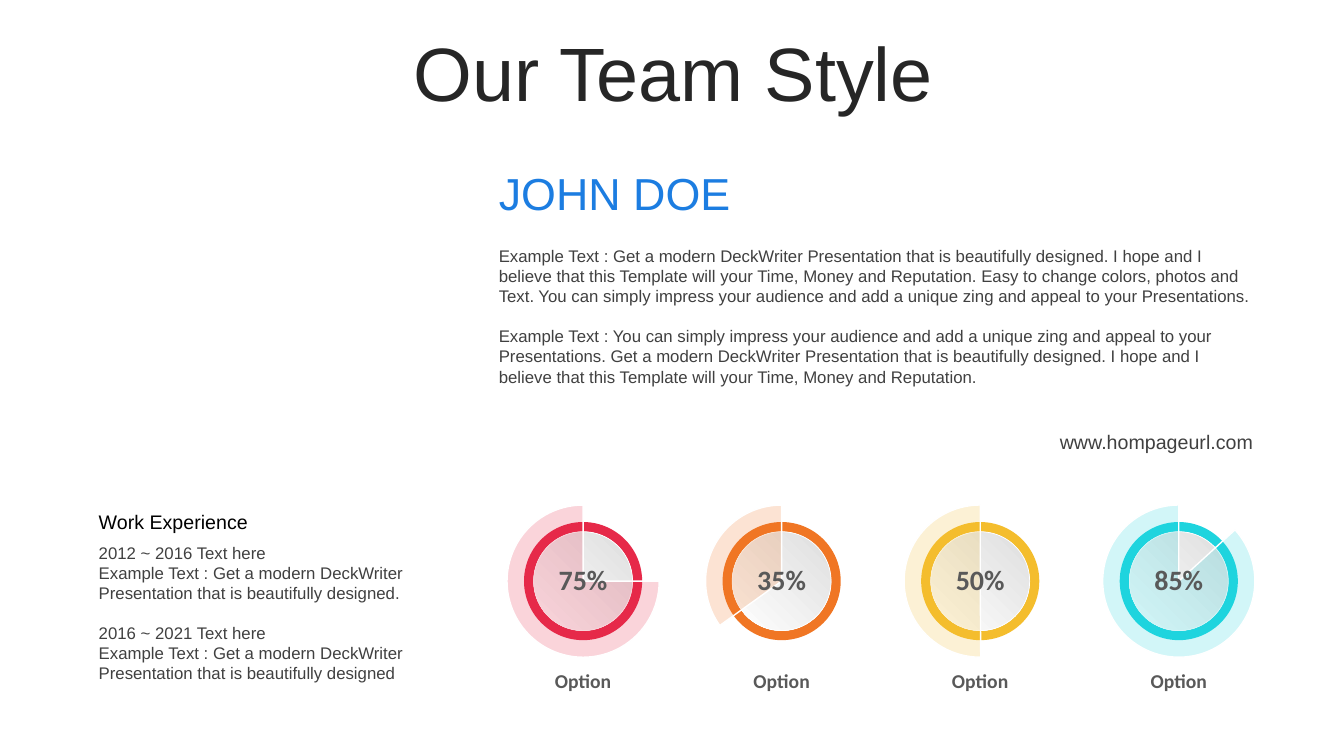
from lxml.etree import SubElement
from pptx import Presentation
from pptx.dml.color import RGBColor
from pptx.enum.shapes import MSO_SHAPE
from pptx.enum.text import MSO_ANCHOR, MSO_AUTO_SIZE, PP_ALIGN
from pptx.oxml.ns import qn
from pptx.util import Pt

TITLE = "Our Team Style"
NAME = "JOHN DOE"
WEBSITE = "www.hompageurl.com"
PROFILE = [
    "Example Text : Get a modern DeckWriter Presentation that is beautifully designed. "
    "I hope and I believe that this Template will your Time, Money and Reputation. "
    "Easy to change colors, photos and Text. You can simply impress your audience "
    "and add a unique zing and appeal to your Presentations.",
    "Example Text : You can simply impress your audience and add a unique zing and "
    "appeal to your Presentations. Get a modern DeckWriter Presentation that is "
    "beautifully designed. I hope and I believe that this Template will your Time, "
    "Money and Reputation.",
]
EXPERIENCE_HEADING = "Work Experience"
EXPERIENCE = [
    "2012 ~ 2016 Text here",
    "Example Text : Get a modern DeckWriter Presentation that is beautifully designed.",
    "2016 ~ 2021 Text here",
    "Example Text : Get a modern DeckWriter Presentation that is beautifully designed",
]
GAUGES = [
    ("75%", "Option", "red", 0),
    ("35%", "Option", "orange", 144.35),
    ("50%", "Option", "yellow", 89.6),
    ("85%", "Option", "cyan", 317.65),
]

THEME = {
    "fonts": {"body": "Arial", "gauge": "Calibri"},
    "sizes": {"title": 54, "name": 32, "percent": 20, "heading": 14, "body": 12},
    "colors": {
        "title": "262626", "name": "1C7DE1", "body": "404040", "heading": "000000",
        "gauge": "595959", "white": "FFFFFF", "silver": "DEDEDE",
        "red": "E62949", "orange": "F07624", "yellow": "F4BD2D", "cyan": "1ED4DE",
    },
}

PROFILE_LEFT, PROFILE_WIDTH = 349.2, 553
EXPERIENCE_LEFT, EXPERIENCE_WIDTH = 63.4, 250.6
FIRST_CENTER, LAST_CENTER, CENTER_Y = 416.5, 842, 415.1
RING, DIAL, SECTOR = 84.4, 70.6, 108.7
SECTOR_END = 270
SECTOR_OPACITY = 20
BLANK_LINE = 14


def color(name):
    return RGBColor.from_string(THEME["colors"][name])


def add_text(shapes, box, paragraphs, size, ink, font="body", align=PP_ALIGN.LEFT,
             bold=False, anchor=MSO_ANCHOR.TOP, grow=True, breaks=()):
    text_box = shapes.add_textbox(*map(Pt, box))
    frame = text_box.text_frame
    frame.word_wrap = True
    frame.vertical_anchor = anchor
    frame.auto_size = MSO_AUTO_SIZE.SHAPE_TO_FIT_TEXT if grow else MSO_AUTO_SIZE.NONE
    frame.text = "\n".join(paragraphs)
    for index, paragraph in enumerate(frame.paragraphs):
        paragraph.alignment = align
        if index in breaks:
            paragraph.space_before = Pt(BLANK_LINE)
        for run in paragraph.runs:
            run.font.name = THEME["fonts"][font]
            run.font.size = Pt(THEME["sizes"][size])
            run.font.color.rgb = color(ink)
            run.font.bold = bold
    return text_box


def add_round(shapes, kind, center, diameter, line_width=0):
    shape = shapes.add_shape(kind, Pt(center - diameter / 2), Pt(CENTER_Y - diameter / 2),
                             Pt(diameter), Pt(diameter))
    shape.shadow.inherit = False
    if line_width:
        shape.line.color.rgb = color("white")
        shape.line.width = Pt(line_width)
    else:
        shape.line.fill.background()
    return shape


def add_gauge(slide, center, percent, label, hue, start):
    shapes = slide.shapes.add_group_shape().shapes

    ring = add_round(shapes, MSO_SHAPE.OVAL, center, RING)
    ring.fill.solid()
    ring.fill.fore_color.rgb = color(hue)

    dial = add_round(shapes, MSO_SHAPE.OVAL, center, DIAL, 0.5)
    dial.fill.gradient()
    dial.fill.gradient_angle = 225
    for stop, name in zip(dial.fill.gradient_stops, ("silver", "white")):
        stop.color.rgb = color(name)

    sector = add_round(shapes, MSO_SHAPE.PIE, center, SECTOR, 1)
    for index, angle in enumerate((start, SECTOR_END)):
        sector.adjustments[index] = angle * 0.6
    sector.fill.solid()
    sector.fill.fore_color.rgb = color(hue)
    tint = sector.element.spPr.find(qn("a:solidFill")).find(qn("a:srgbClr"))
    SubElement(tint, qn("a:alpha")).set("val", str(SECTOR_OPACITY * 1000))

    add_text(shapes, (center - RING / 2, 398.2, RING, 31.5), [percent], "percent", "gauge",
             "gauge", PP_ALIGN.CENTER, bold=True)
    add_text(slide.shapes, (center - 48.3, 474.5, 96.6, 24.3), [label], "heading", "gauge",
             "gauge", PP_ALIGN.CENTER, bold=True)


def main():
    presentation = Presentation()
    presentation.slide_width, presentation.slide_height = Pt(960), Pt(540)
    slide = presentation.slides.add_slide(presentation.slide_layouts[6])
    shapes = slide.shapes

    title = add_text(shapes, (25.2, 26.6, 911.5, 56.9), [TITLE], "title", "title",
                     align=PP_ALIGN.CENTER, anchor=MSO_ANCHOR.MIDDLE, grow=False)
    title.text_frame.paragraphs[0].line_spacing = 0.9

    pitch = (LAST_CENTER - FIRST_CENTER) / (len(GAUGES) - 1)
    for index, gauge in enumerate(GAUGES):
        add_gauge(slide, FIRST_CENTER + index * pitch, *gauge)

    add_text(shapes, (EXPERIENCE_LEFT, 383.8, EXPERIENCE_WIDTH, 108.7), EXPERIENCE,
             "body", "body", breaks=(2,))
    add_text(shapes, (EXPERIENCE_LEFT, 360.7, EXPERIENCE_WIDTH, 24.3),
             [EXPERIENCE_HEADING], "heading", "heading")
    add_text(shapes, (PROFILE_LEFT, 172.1, PROFILE_WIDTH, 108.7), PROFILE,
             "body", "body", breaks=(1,))
    add_text(shapes, (PROFILE_LEFT, 114.5, PROFILE_WIDTH, 46), [NAME], "name", "name")
    add_text(shapes, (734.4, 303.1, 167.8, 24.3), [WEBSITE], "heading", "body",
             align=PP_ALIGN.RIGHT, anchor=MSO_ANCHOR.MIDDLE)

    presentation.save("out.pptx")


if __name__ == "__main__":
    main()
